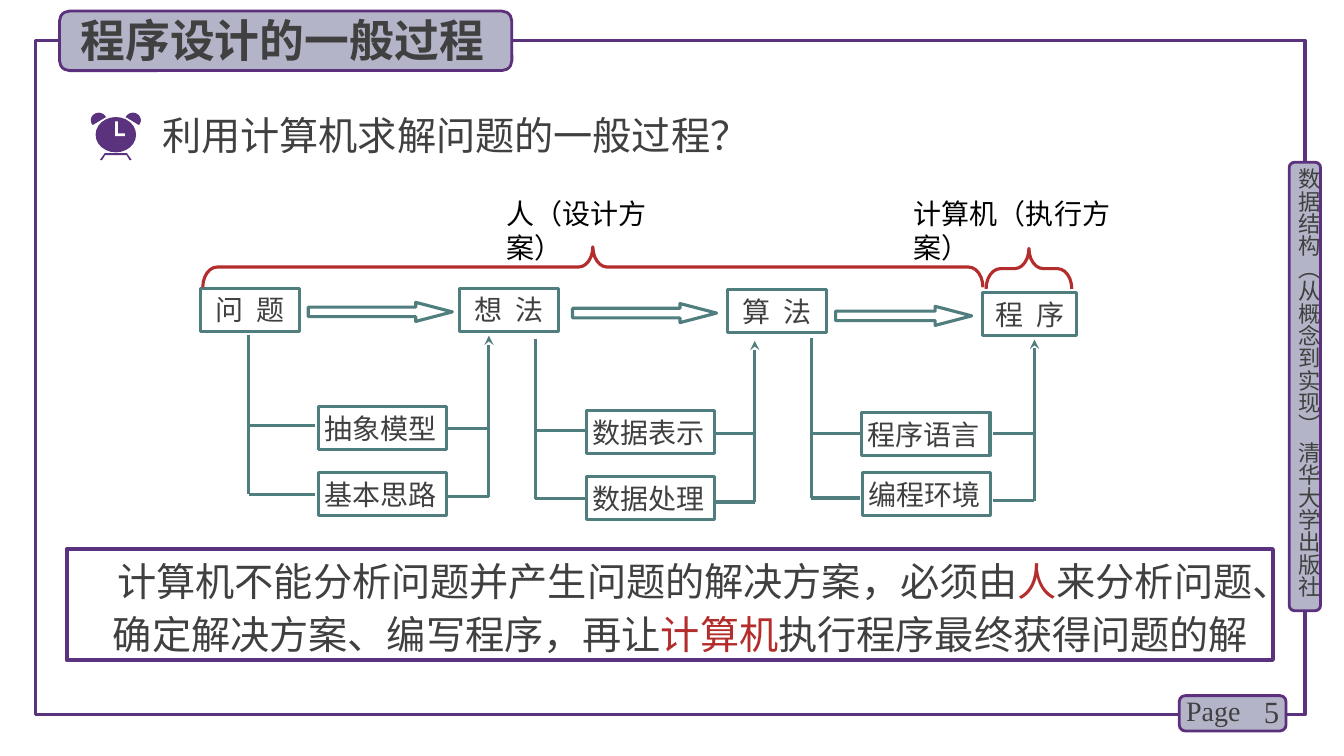
from math import cos, radians, sin
from typing import NamedTuple

from lxml import etree
from pptx import Presentation
from pptx.dml.color import RGBColor
from pptx.enum.shapes import MSO_CONNECTOR, MSO_SHAPE
from pptx.enum.text import MSO_ANCHOR, MSO_AUTO_SIZE, PP_ALIGN
from pptx.oxml.ns import qn
from pptx.util import Cm, Pt

RECTANGLE, ROUNDED = MSO_SHAPE.RECTANGLE, MSO_SHAPE.ROUNDED_RECTANGLE
BLOCK_ARROW, BRACE, OVAL = MSO_SHAPE.RIGHT_ARROW, MSO_SHAPE.LEFT_BRACE, MSO_SHAPE.OVAL
STRAIGHT = MSO_CONNECTOR.STRAIGHT
LEFT, CENTER, RIGHT = PP_ALIGN.LEFT, PP_ALIGN.CENTER, PP_ALIGN.RIGHT
TOP, MIDDLE = MSO_ANCHOR.TOP, MSO_ANCHOR.MIDDLE
NO_AUTOSIZE = MSO_AUTO_SIZE.NONE
TITLE_ONLY = 5

SANS, SERIF = "Noto Sans CJK SC", "Times New Roman"
PURPLE, BADGE_LINE, BADGE_FILL = "5A327D", "5C307D", "B4B4C8"
TEAL, RED, DARK, BLACK, WHITE = "507D7D", "B42D2D", "404040", "000000", "FFFFFF"
DEFAULT_INSETS = (0.25, 0.13, 0.25, 0.13)
NODE_INSETS = (0.15, 0.03, 0.15, 0.03)


class Branch(NamedTuple):
    """Two details hanging between one stage and the next, in centimetres."""
    details: tuple
    trunk_x: float
    trunk_top: float
    left_end: float
    left_rows: tuple
    right_start: float
    right_rows: tuple
    arrow_x: float
    arrow_top: float


STAGES = [("问 题", 5.05, 7.26, 2.49), ("想 法", 11.58, 7.26, 2.49),
          ("算 法", 18.34, 7.29, 2.49), ("程 序", 24.77, 7.37, 2.36)]
STAGE_ARROWS = [(7.77, 7.62, 3.63), (14.43, 7.65, 3.63), (21.06, 7.72, 3.43)]
BRANCHES = [
    Branch((("抽象模型", 8.03, 10.24), ("基本思路", 8.03, 11.91)), 6.27, 8.43,
           7.95, (10.72, 12.45), 11.25, (10.8, 12.52), 12.32, 8.46),
    Branch((("数据表示", 14.78, 10.34), ("数据处理", 14.78, 12.01)), 13.49, 8.53,
           14.76, (10.85, 12.57), 18.01, (10.92, 12.65), 19.02, 8.59),
    Branch((("程序语言", 21.72, 10.39), ("编程环境", 21.74, 11.91)), 20.45, 8.51,
           21.67, (10.92, 12.55), 25.02, (10.92, 12.62), 26.07, 8.56),
]
BRACES = [("人（设计方案）", 12.52, 4.8, 5.11, 6.22, 19.66),
          ("计算机（执行方案）", 22.78, 6.78, 24.85, 6.26, 2.16)]
CONCLUSION = [(" 计算机不能分析问题并产生问题的解决方案，必须由", None), ("人", RED),
              ("来分析问题、确定解决方案、编写程序，再让", None), ("计算机", RED),
              ("执行程序最终获得问题的解", None)]


def color(hex_string):
    return RGBColor.from_string(hex_string)


def style_shape(shape, fill=None, line=None, line_width=2.25):
    shape.shadow.inherit = False
    if fill:
        shape.fill.solid()
        shape.fill.fore_color.rgb = color(fill)
    else:
        shape.fill.background()
    if line:
        shape.line.color.rgb = color(line)
        shape.line.width = Pt(line_width)
    else:
        shape.line.fill.background()


def add_box(slide, kind, left, top, width, height, **style):
    shape = slide.shapes.add_shape(kind, Cm(left), Cm(top), Cm(width), Cm(height))
    style_shape(shape, **style)
    return shape


def write(shape, runs, size, font=SANS, ink=DARK, bold=False, align=LEFT,
          anchor=TOP, insets=DEFAULT_INSETS, tracking=0):
    """Fill a shape with one paragraph; runs is a string or (text, colour) pairs."""
    frame = shape.text_frame
    frame.word_wrap = True
    frame.auto_size = NO_AUTOSIZE
    frame.vertical_anchor = anchor
    (frame.margin_left, frame.margin_top,
     frame.margin_right, frame.margin_bottom) = map(Cm, insets)
    paragraph = frame.paragraphs[0]
    paragraph.alignment = align
    paragraph.font.size = Pt(size)
    paragraph.font.bold = bold
    paragraph.font.color.rgb = color(ink)
    paragraph.font.name = font
    properties = paragraph.font._rPr
    etree.SubElement(properties, qn("a:ea")).set("typeface", font)
    if tracking:
        properties.set("spc", str(tracking))
    for text, run_color in [(runs, None)] if isinstance(runs, str) else runs:
        run = paragraph.add_run()
        run.text = text
        if run_color:
            run.font.color.rgb = color(run_color)
    return paragraph


def add_text(slide, text, left, top, width, height, size, **style):
    box = slide.shapes.add_textbox(Cm(left), Cm(top), Cm(width), Cm(height))
    write(box, text, size, **style)
    return box


def add_line(slide, x1, y1, x2, y2, arrow=False):
    line = slide.shapes.add_connector(STRAIGHT, Cm(x1), Cm(y1), Cm(x2), Cm(y2))
    line.line.color.rgb = color(TEAL)
    line.line.width = Pt(2.25)
    if arrow:
        etree.SubElement(line.line._get_or_add_ln(), qn("a:tailEnd")).set("type", "stealth")
    etree.SubElement(line._element.spPr, qn("a:effectLst"))


def add_node(slide, text, left, top, width, **style):
    node = add_box(slide, RECTANGLE, left, top, width, 1.09, line=TEAL)
    write(node, text, 20, anchor=MIDDLE, insets=NODE_INSETS, **style)


def add_polygon(slide, points, fill):
    (start_x, start_y), *rest = [(Cm(x), Cm(y)) for x, y in points]
    builder = slide.shapes.build_freeform(start_x, start_y)
    builder.add_line_segments(rest)
    style_shape(builder.convert_to_shape(), fill=fill)


def add_clock(slide):
    center = 2.92
    bell = [(2.49 + 0.2 * cos(radians(angle)), 3.03 + 0.19 * sin(radians(angle)))
            for angle in range(145, 346, 10)]
    bell = [(2.34, 3.15), *bell, (2.67, 2.95)]
    add_polygon(slide, bell, PURPLE)
    add_polygon(slide, [(2 * center - x, y) for x, y in bell], PURPLE)
    left_leg = [(2.65, 3.91), (2.57, 4.04), (2.52, 4.03), (2.64, 3.86)]
    right_leg = [(2 * center - x, y) for x, y in reversed(left_leg)]
    add_polygon(slide, left_leg + right_leg, PURPLE)
    add_box(slide, OVAL, 2.41, 2.95, 1.02, 0.89, fill=PURPLE)
    add_polygon(slide, [(2.9, 3.06), (2.97, 3.06), (2.97, 3.36), (3.15, 3.36),
                        (3.15, 3.43), (2.9, 3.43)], WHITE)


def add_branch(slide, branch):
    add_line(slide, branch.trunk_x, branch.trunk_top, branch.trunk_x, branch.left_rows[-1])
    for text, left, top in branch.details:
        add_node(slide, text, left, top, 3.23)
    for row in branch.left_rows:
        add_line(slide, branch.trunk_x, row, branch.left_end, row)
    for row in branch.right_rows:
        add_line(slide, branch.right_start, row, branch.arrow_x, row)
    add_line(slide, branch.arrow_x, branch.right_rows[-1],
             branch.arrow_x, branch.arrow_top, arrow=True)


def add_top_brace(slide, left, top, span):
    depth = 1.02
    brace = add_box(slide, BRACE, left + (span - depth) / 2, top - (span - depth) / 2,
                    depth, span, line=RED)
    brace.adjustments[0] = 0.354
    brace.rotation = 90


def add_page_frame(slide):
    add_box(slide, RECTANGLE, 0.89, 1.02, 32, 16.99, line=PURPLE)
    for bounds in [(32.49, 4.09, 0.79, 11.3), (29.72, 17.53, 2.69, 0.89),
                   (1.5, 0.28, 11.4, 1.5)]:
        add_box(slide, ROUNDED, *bounds, fill=BADGE_FILL, line=BADGE_LINE, line_width=2)
    side = add_text(slide, "数据结构（从概念到实现） 清华大学出版社",
                    32.64, 4.24, 0.69, 11.4, 16, insets=(0, 0, 0, 0))
    side.text_frame._txBody.bodyPr.set("vert", "eaVert")
    add_text(slide, "5", 30.99, 17.42, 1.5, 1.02, 22, font=SERIF, align=RIGHT, anchor=MIDDLE)
    add_text(slide, "Page", 29.64, 17.35, 1.98, 1.12, 20, font=SERIF)


def add_title(slide, text):
    title = slide.shapes.title
    title.left, title.top, title.width, title.height = Cm(1.78), Cm(0.18), Cm(11.28), Cm(1.63)
    write(title, text, 32, bold=True)
    slide.shapes._spTree.append(title._element)  # in front of its badge


def main():
    presentation = Presentation()
    presentation.slide_width, presentation.slide_height = Cm(33.87), Cm(19.05)
    slide = presentation.slides.add_slide(presentation.slide_layouts[TITLE_ONLY])
    add_page_frame(slide)
    add_title(slide, "程序设计的一般过程")
    add_clock(slide)
    add_text(slide, "利用计算机求解问题的一般过程？", 3.84, 2.67, 18.44, 1.45, 28)

    conclusion = add_box(slide, RECTANGLE, 1.68, 13.84, 30.4, 2.79, line=PURPLE, line_width=3)
    paragraph = write(conclusion, CONCLUSION, 28, align=CENTER, anchor=MIDDLE,
                      insets=(0.79, 0.13, 0.25, 0.13))
    paragraph.line_spacing = Pt(38)

    for text, left, top, width in STAGES:
        add_node(slide, text, left, top, width, align=CENTER, tracking=250)
    for left, top, width in STAGE_ARROWS:
        arrow = add_box(slide, BLOCK_ARROW, left, top, width, 0.48, line=TEAL)
        arrow.adjustments[1] = 1.92
    for branch in BRANCHES:
        add_branch(slide, branch)
    for text, text_left, text_width, left, top, span in BRACES:
        add_top_brace(slide, left, top, span)
        add_text(slide, text, text_left, 4.83, text_width, 1.12, 20, ink=BLACK)
    presentation.save("out.pptx")


if __name__ == "__main__":
    main()
